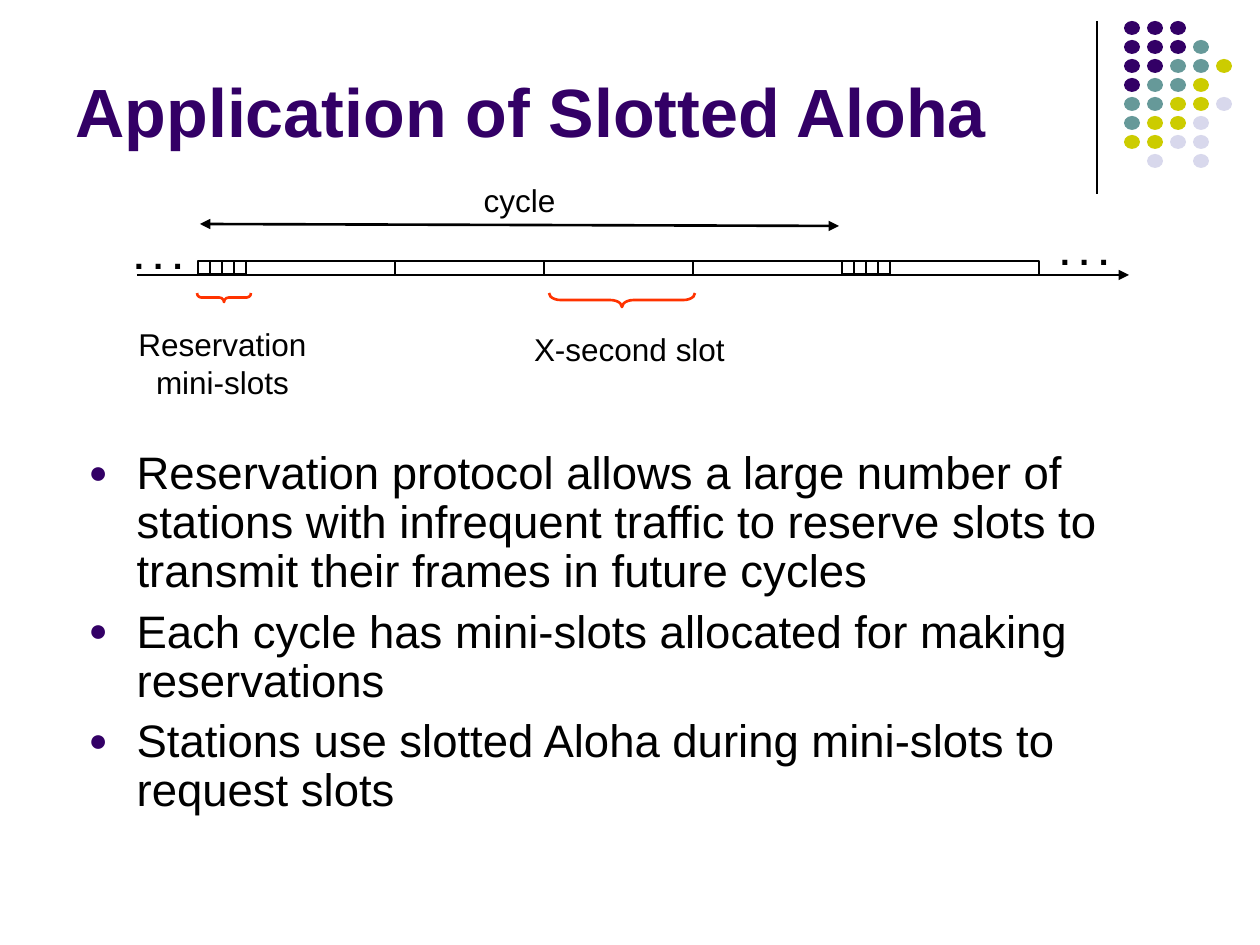
import pptx
import pptx.util
import pptx.dml.color
import pptx.enum.shapes
import pptx.enum.text
import pptx.oxml
import pptx.oxml.ns

SCALE = 914400 / 126  # EMU in one px
SHAPE = pptx.enum.shapes.MSO_SHAPE
ALIGN = pptx.enum.text.PP_ALIGN
ANCHOR = pptx.enum.text.MSO_ANCHOR
FIT = pptx.enum.text.MSO_AUTO_SIZE

PURPLE, BLACK, RED = "330066", "000000", "FF3300"
TONES = {"p": PURPLE, "t": "669999", "y": "CCCC00", "l": "D8D8EC"}
DOTS = ["ppp", "pppt", "pptty", "ptty", "ttyyl", "tyyl", "yyll", " l l"]
POINTS = [
    "Reservation protocol allows a large number of stations with infrequent "
    "traffic to reserve slots to transmit their frames in future cycles",
    "Each cycle has mini-slots allocated for making reservations",
    "Stations use slotted Aloha during mini-slots to request slots",
]


def px(*nums):
    return [pptx.util.Emu(round(n * SCALE)) for n in nums]


def color(code):
    return pptx.dml.color.RGBColor.from_string(code)


def add_xml(node, tag, **attrs):
    part = node.makeelement(pptx.oxml.ns.qn(tag), attrs)
    node.append(part)
    return part


def place(shape, box):
    shape.left, shape.top, shape.width, shape.height = px(*box)


def write(shape, lines, size=18, tone=BLACK, bold=False, align=ALIGN.CENTER,
          anchor=ANCHOR.TOP, wrap=True):
    frame = shape.text_frame
    frame.auto_size = FIT.NONE
    frame.word_wrap = wrap
    frame.vertical_anchor = anchor
    frame.text = "\n".join(lines)
    for para in frame.paragraphs:
        para.alignment = align
        font = para.runs[0].font
        font.name, font.size, font.bold = "Arial", pptx.util.Pt(size), bold
        font.color.rgb = color(tone)


def label(slide, box, text, **style):
    write(slide.shapes.add_textbox(*px(*box)), [text], **style)


def draw(slide, kind, box, fill=None, edge=None):
    shape = slide.shapes.add_shape(kind, *px(*box))
    shape.shadow.inherit = False
    if fill:
        shape.fill.solid()
        shape.fill.fore_color.rgb = color(fill)
    else:
        shape.fill.background()
    if edge:
        shape.line.color.rgb = color(edge)
        shape.line.width = pptx.util.Pt(1.5)
    else:
        shape.line.fill.background()
    return shape


def rule(slide, ends, width=1.5, heads=()):
    kind = pptx.enum.shapes.MSO_CONNECTOR.STRAIGHT
    line = slide.shapes.add_connector(kind, *px(*ends))
    line.line.color.rgb = color(BLACK)
    line.line.width = pptx.util.Pt(width)
    stroke = line.line._get_or_add_ln()
    for head in heads:
        add_xml(stroke, head, type="triangle")
    add_xml(line._element.spPr, "a:effectLst")


def brace(slide, box, bend):
    # A left brace turned so that its tip points down
    x, y, w, h = box
    turned = (x + (w - h) / 2, y + (h - w) / 2, h, w)
    shape = draw(slide, SHAPE.LEFT_BRACE, turned, edge=RED)
    shape.rotation = 270
    shape.adjustments[0] = bend


def corner(slide, x, y):
    # Vertical rule and the grid of coloured dots
    rule(slide, (x, y, x, y + 173), width=0.75)
    for row, tones in enumerate(DOTS):
        for col, tone in enumerate(tones):
            if tone in TONES:
                box = (x + 27 + 23 * col, y + 19 * row, 16, 14)
                draw(slide, SHAPE.OVAL, box, fill=TONES[tone])


def title(slide, box):
    head = slide.shapes.title
    place(head, box)
    write(head, ["Application of Slotted Aloha"], size=39, tone=PURPLE,
          bold=True, align=ALIGN.LEFT, anchor=ANCHOR.BOTTOM)


def bullets(slide, box):
    body = slide.placeholders[1]
    place(body, box)
    write(body, POINTS, size=26, align=ALIGN.LEFT)
    indent = px(48)[0]
    for para in body.text_frame.paragraphs:
        para.line_spacing = 0.9
        para.space_before = pptx.util.Pt(6.5)
        props = para._p.get_or_add_pPr()
        props.set("marL", str(indent))
        props.set("indent", str(-indent))
        add_xml(add_xml(props, "a:buClr"), "a:srgbClr", val=PURPLE)
        add_xml(props, "a:buSzPct", val="70000")
        add_xml(props, "a:buFont", typeface="Arial")
        add_xml(props, "a:buChar", char="●")


def timeline(slide, x, y):
    # Time axis, with y at its height
    rule(slide, (x, y, x + 992, y), heads=["a:tailEnd"])

    # One full cycle of slots, then the start of the next
    mini, slot = 12, 149
    left = x + 61
    for width in [mini] * 4 + [slot] * 4 + [mini] * 4 + [slot]:
        high = 13 if width == mini else 14
        draw(slide, SHAPE.RECTANGLE, (left, y - 14, width, high), edge=BLACK)
        left += width

    # Length of the cycle
    rule(slide, (x + 63, y - 51, x + 702, y - 49),
         heads=["a:headEnd", "a:tailEnd"])
    label(slide, (x + 334, y - 100, 97, 50), "cycle", wrap=False)

    # Braces with their labels
    brace(slide, (x + 412, y + 18, 146, 14), 0.83)
    label(slide, (x + 385, y + 49, 215, 50), "X-second slot", wrap=False)
    brace(slide, (x + 60, y + 18, 54, 9), 0.5)
    label(slide, (x - 39, y + 44, 249, 88), "Reservation mini-slots")

    # The axis goes on at both ends
    for dx, dy in [(911, -51), (-15, -47)]:
        label(slide, (x + dx, y + dy, 73, 55), ". . .", size=20, bold=True,
              wrap=False)


def main():
    deck = pptx.Presentation()
    deck.slide_width, deck.slide_height = px(1260, 945)
    slide = deck.slides.add_slide(deck.slide_layouts[1])
    corner(slide, 1097, 21)
    title(slide, (63, 16, 1040, 141))
    bullets(slide, (76, 444, 1134, 417))
    timeline(slide, 137, 275)
    deck.save("out.pptx")


if __name__ == "__main__":
    main()
